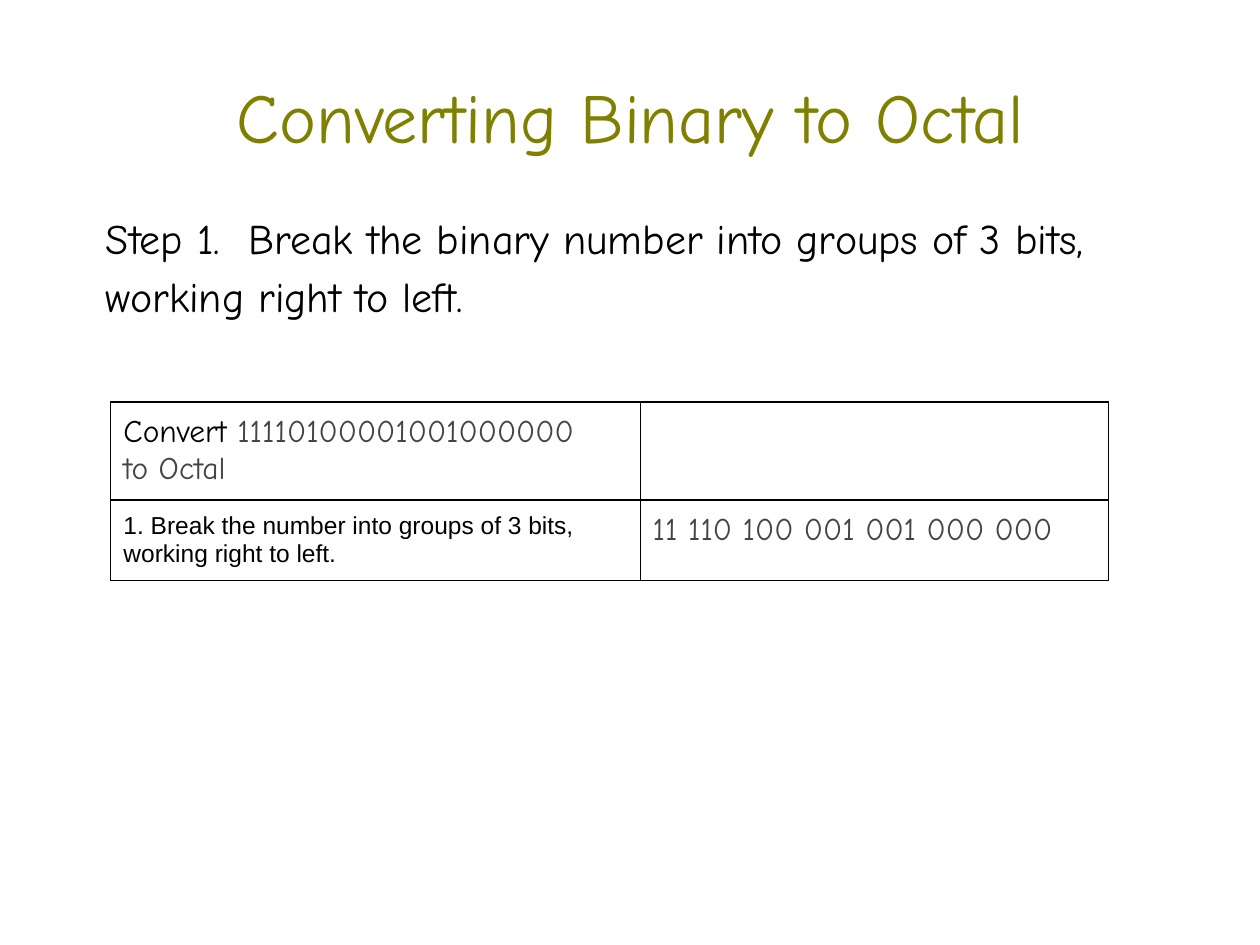
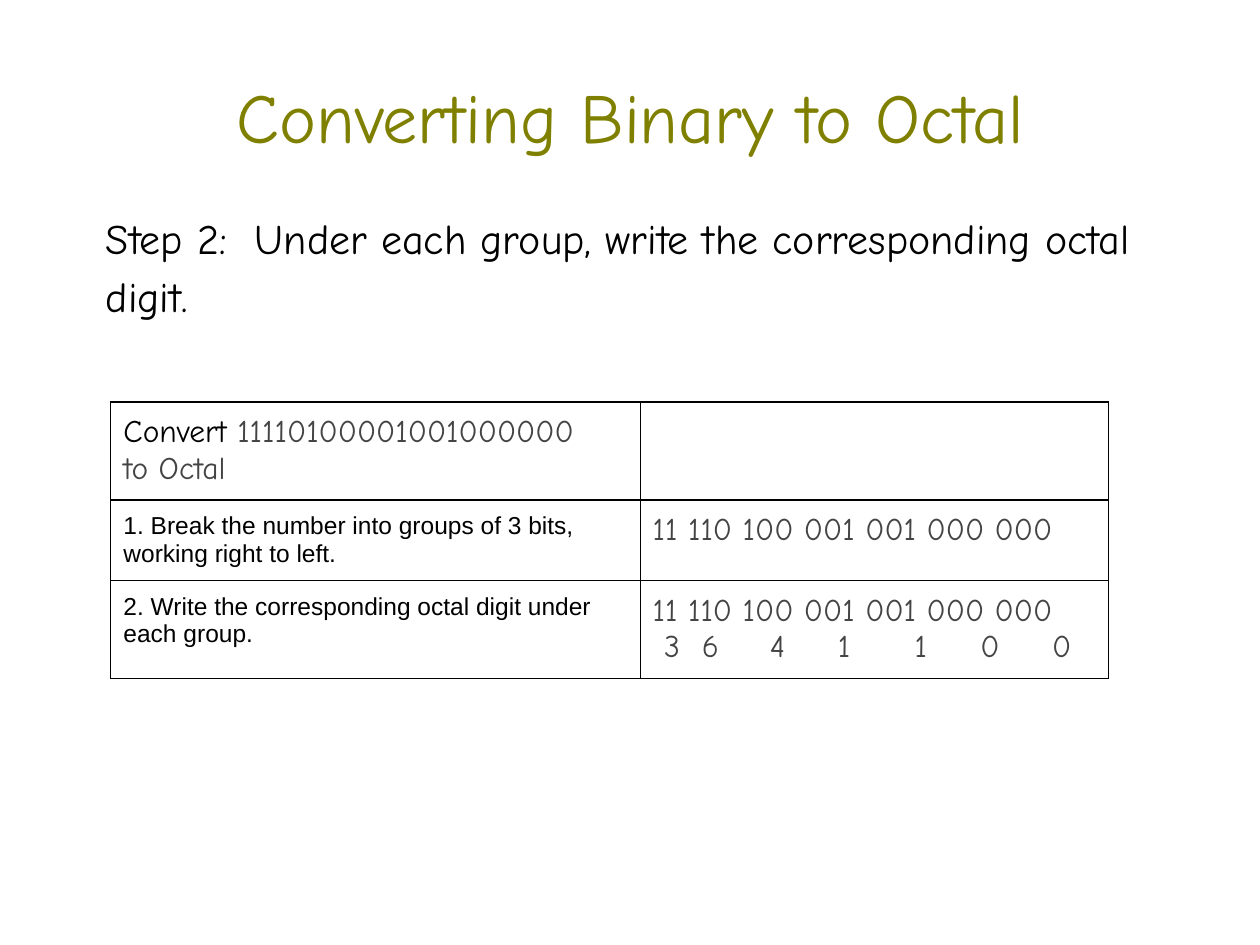
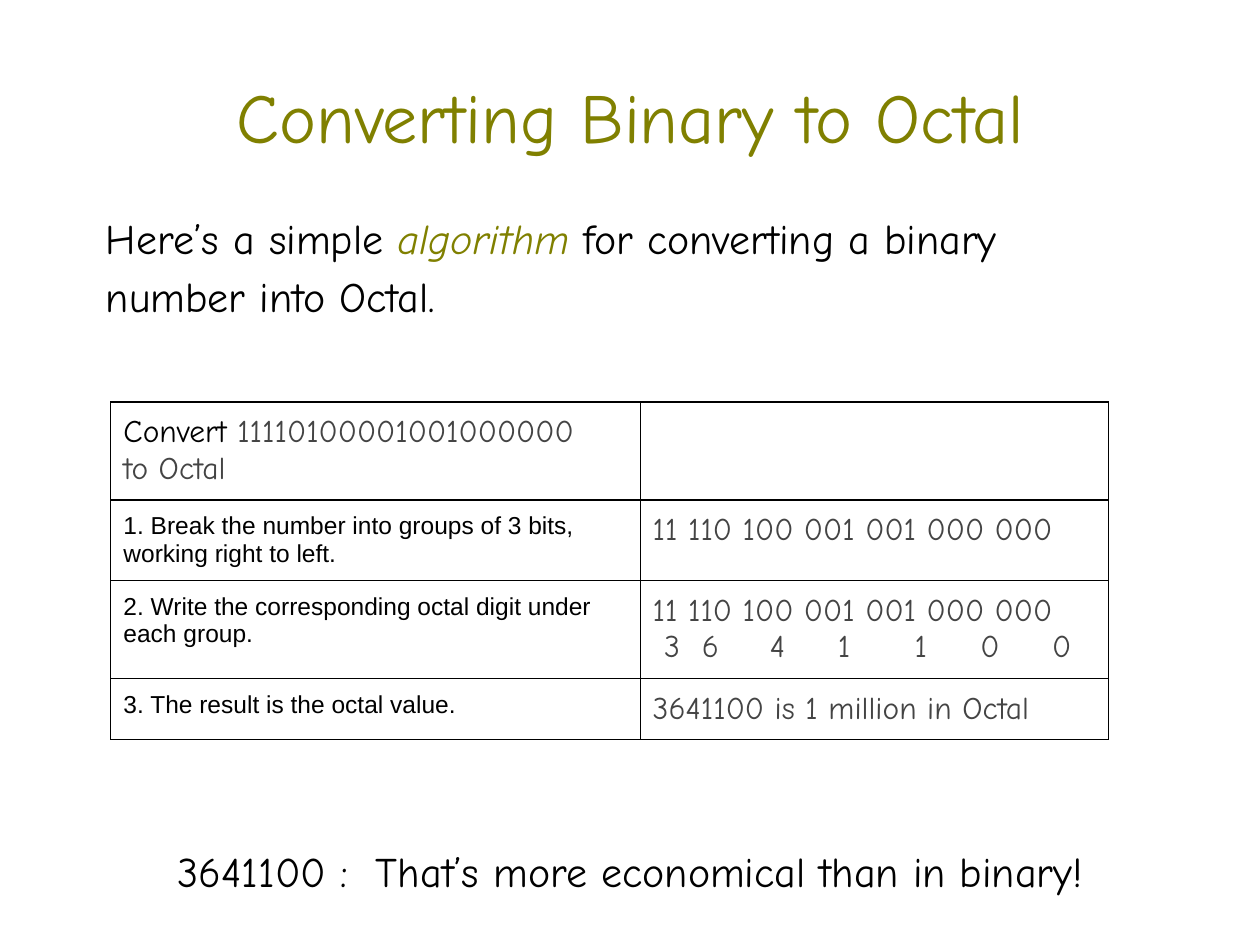
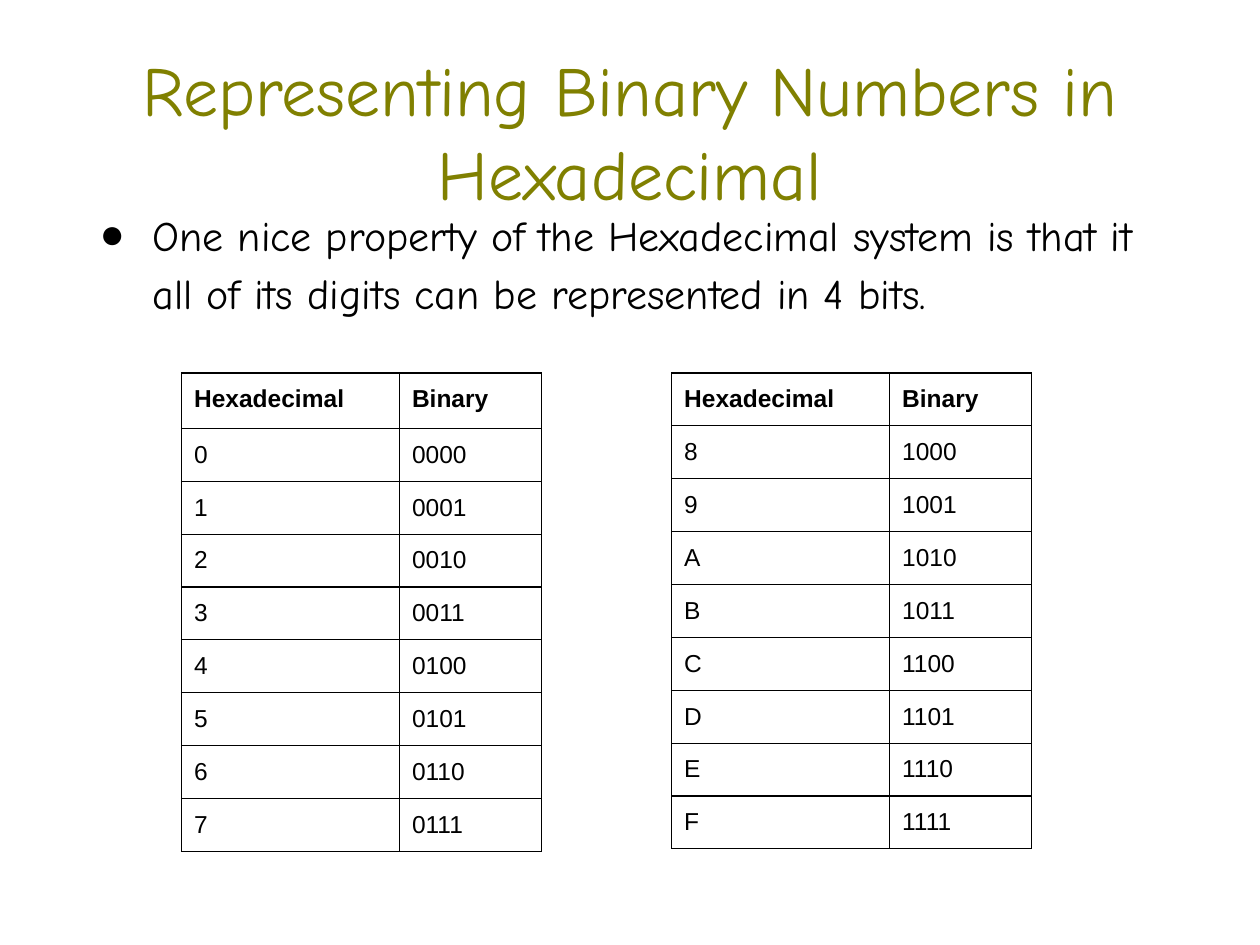
from lxml import etree
from pptx import Presentation
from pptx.dml.color import RGBColor
from pptx.enum.text import MSO_ANCHOR, MSO_AUTO_SIZE, PP_ALIGN
from pptx.oxml.ns import qn
from pptx.util import Inches, Pt

LEFT, CENTER = PP_ALIGN.LEFT, PP_ALIGN.CENTER
TOP, MIDDLE = MSO_ANCHOR.TOP, MSO_ANCHOR.MIDDLE
NO_FIT = MSO_AUTO_SIZE.NONE
ONE_BODY, TWO_BODIES = 1, 3

BLACK = RGBColor(0x00, 0x00, 0x00)
OLIVE = RGBColor(0x80, 0x80, 0x00)
GRAY = RGBColor(0x44, 0x44, 0x44)

HAND, SANS = "Comic Neue", "Arial"
TITLE = dict(name=HAND, size=Pt(40), color=OLIVE)
BODY = dict(name=HAND, size=Pt(24), color=BLACK)
TERM = dict(BODY, color=OLIVE, italic=True)
TASK = dict(name=HAND, size=Pt(18), color=BLACK)
DIGITS = dict(TASK, color=GRAY)
CELL = dict(name=SANS, size=Pt(14), color=BLACK)
HEADER = dict(CELL, bold=True)

STEP_BOX = (0.74, 1.58, 8.48, 1.18)
OCTAL_TITLE = "Converting Binary to Octal"
OCTAL_COLS = (4.2, 3.72)
HEX_COLS = (1.73, 1.13)
ROW_H = 0.42
DIGIT_TABS = (0.09, 0.39, 0.93, 1.47, 2.08, 2.6, 3.17)

GROUPS = "11 110 100 001 001 000 000"
OCTAL_DIGITS = "".join("\t" + digit for digit in "3641100")
OCTAL_ROWS = [
    ([[("Convert ", TASK), ("11110100001001000000", DIGITS)],
      [("to Octal", DIGITS)]], []),
    ([[("1. Break the number into groups of 3 bits, working right to left.",
        CELL)]], [[(GROUPS, DIGITS)]]),
    ([[("2. Write the corresponding octal digit under each group.", CELL)]],
     [[(GROUPS, DIGITS)], [(OCTAL_DIGITS, DIGITS)]]),
    ([[("3. The result is the octal value.", CELL)]],
     [[("3641100 is 1 million in Octal", DIGITS)]]),
]


def set_format(font, values):
    for key, value in values.items():
        if key == "color":
            font.color.rgb = value
        else:
            setattr(font, key, value)


def add_runs(p, runs):
    for text, values in runs:
        r = p.add_run()
        r.text = text
        set_format(r.font, values)


def set_bullet(p, char):
    pPr = p._p.get_or_add_pPr()
    hanging = (0.5, -0.42) if char else (0, 0)
    for key, value in zip(("marL", "indent"), hanging):
        pPr.set(key, str(Inches(value)))
    if char:
        color = etree.SubElement(pPr, qn("a:buClr"))
        etree.SubElement(color, qn("a:srgbClr"), val=str(BLACK))
        etree.SubElement(pPr, qn("a:buChar"), char=char)
    else:
        etree.SubElement(pPr, qn("a:buNone"))


def set_tabs(p, stops):
    tabs = etree.SubElement(p._p.get_or_add_pPr(), qn("a:tabLst"))
    for stop in stops:
        etree.SubElement(tabs, qn("a:tab"), pos=str(Inches(stop)), algn="l")


def fill_placeholder(sp, box, runs, align, anchor, spacing, bullet=None):
    sp.left, sp.top, sp.width, sp.height = map(Inches, box)
    tf = sp.text_frame
    tf.auto_size = NO_FIT
    tf.word_wrap = True
    tf.vertical_anchor = anchor
    p = tf.paragraphs[0]
    p.alignment = align
    p.line_spacing = spacing
    p.space_before = Pt(0)
    set_bullet(p, bullet)
    add_runs(p, runs)


def fill_title(s, text, height=1):
    fill_placeholder(s.shapes.title, (0.75, 0.42, 8.5, height),
                     [(text, TITLE)], CENTER, MIDDLE, 1.0)


def fill_body(s, idx, box, runs, align=LEFT, bullet=None):
    fill_placeholder(s.placeholders[idx], box, runs, align, TOP, 1.15, bullet)


def set_borders(cell):
    tcPr = cell._tc.get_or_add_tcPr()
    for i, side in enumerate(("lnL", "lnR", "lnT", "lnB")):
        ln = etree.Element(qn("a:" + side), w=str(Pt(0.75)))
        fill = etree.SubElement(ln, qn("a:solidFill"))
        etree.SubElement(fill, qn("a:srgbClr"), val=str(BLACK))
        tcPr.insert(i, ln)


def fill_cell(cell, paragraphs):
    cell.fill.background()
    set_borders(cell)
    for side in ("left", "right", "top", "bottom"):
        setattr(cell, "margin_" + side, Inches(0.1))
    tf = cell.text_frame
    for i, runs in enumerate(paragraphs):
        p = tf.add_paragraph() if i else tf.paragraphs[0]
        if runs[0][0].startswith("\t"):
            set_tabs(p, DIGIT_TABS)
        add_runs(p, runs)


def add_grid(s, left, top, cols, rows, first_h=ROW_H):
    heights = [first_h] + [ROW_H] * (len(rows) - 1)
    frame = s.shapes.add_table(len(rows), len(cols), Inches(left), Inches(top),
                               Inches(sum(cols)), Inches(sum(heights)))
    table = frame.table
    table.first_row = table.horz_banding = False
    for column, width in zip(table.columns, cols):
        column.width = Inches(width)
    for row, height, contents in zip(table.rows, heights, rows):
        row.height = Inches(height)
        for cell, paragraphs in zip(row.cells, contents):
            fill_cell(cell, paragraphs)


def octal_slide(prs, runs, row_count, remark=None):
    layout = TWO_BODIES if remark else ONE_BODY
    s = prs.slides.add_slide(prs.slide_layouts[layout])
    fill_title(s, OCTAL_TITLE)
    fill_body(s, 1, STEP_BOX, runs)
    add_grid(s, 0.88, 3.19, OCTAL_COLS, OCTAL_ROWS[:row_count])
    if remark:
        fill_body(s, 2, (0.76, 6.6, 8.48, 0.74), [(remark, BODY)], CENTER)


def hex_rows(values):
    head = [[[(text, HEADER)]] for text in ("Hexadecimal", "Binary")]
    return [head] + [[[[(f"{n:X}", CELL)]], [[(f"{n:04b}", CELL)]]]
                     for n in values]


def hex_slide(prs):
    s = prs.slides.add_slide(prs.slide_layouts[ONE_BODY])
    fill_title(s, "Representing Binary Numbers in Hexadecimal", 1.23)
    fill_body(s, 1, (0.61, 1.55, 8.77, 1.3),
              [("One nice property of the Hexadecimal system is that it all of "
                "its digits can be represented in 4 bits.", BODY)], bullet="●")
    add_grid(s, 1.44, 2.96, HEX_COLS, hex_rows(range(8)), 0.44)
    add_grid(s, 5.33, 2.96, HEX_COLS, hex_rows(range(8, 16)))


def main():
    prs = Presentation()
    prs.slide_width, prs.slide_height = Inches(10), Inches(7.5)
    octal_slide(prs, [("Step 1.  Break the binary number into groups of 3 bits, "
                       "working right to left.", BODY)], 2)
    octal_slide(prs, [("Step 2:  Under each group, write the corresponding "
                       "octal digit.", BODY)], 3)
    octal_slide(prs, [("Here’s a simple ", BODY), ("algorithm", TERM),
                      (" for converting a binary number into Octal.", BODY)], 4,
                "3641100 :  That’s more economical than in binary!")
    hex_slide(prs)
    prs.save("out.pptx")


if __name__ == "__main__":
    main()
